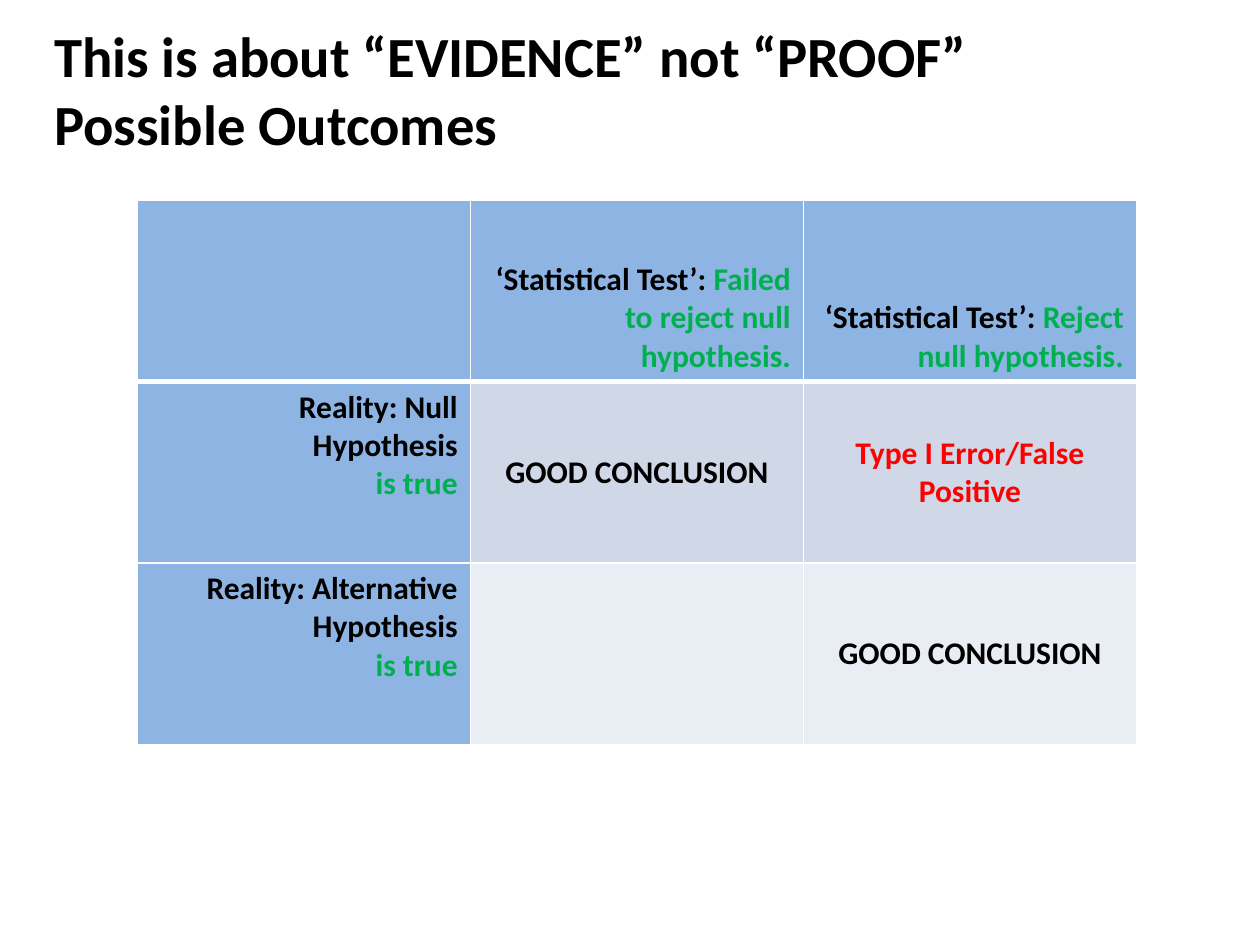
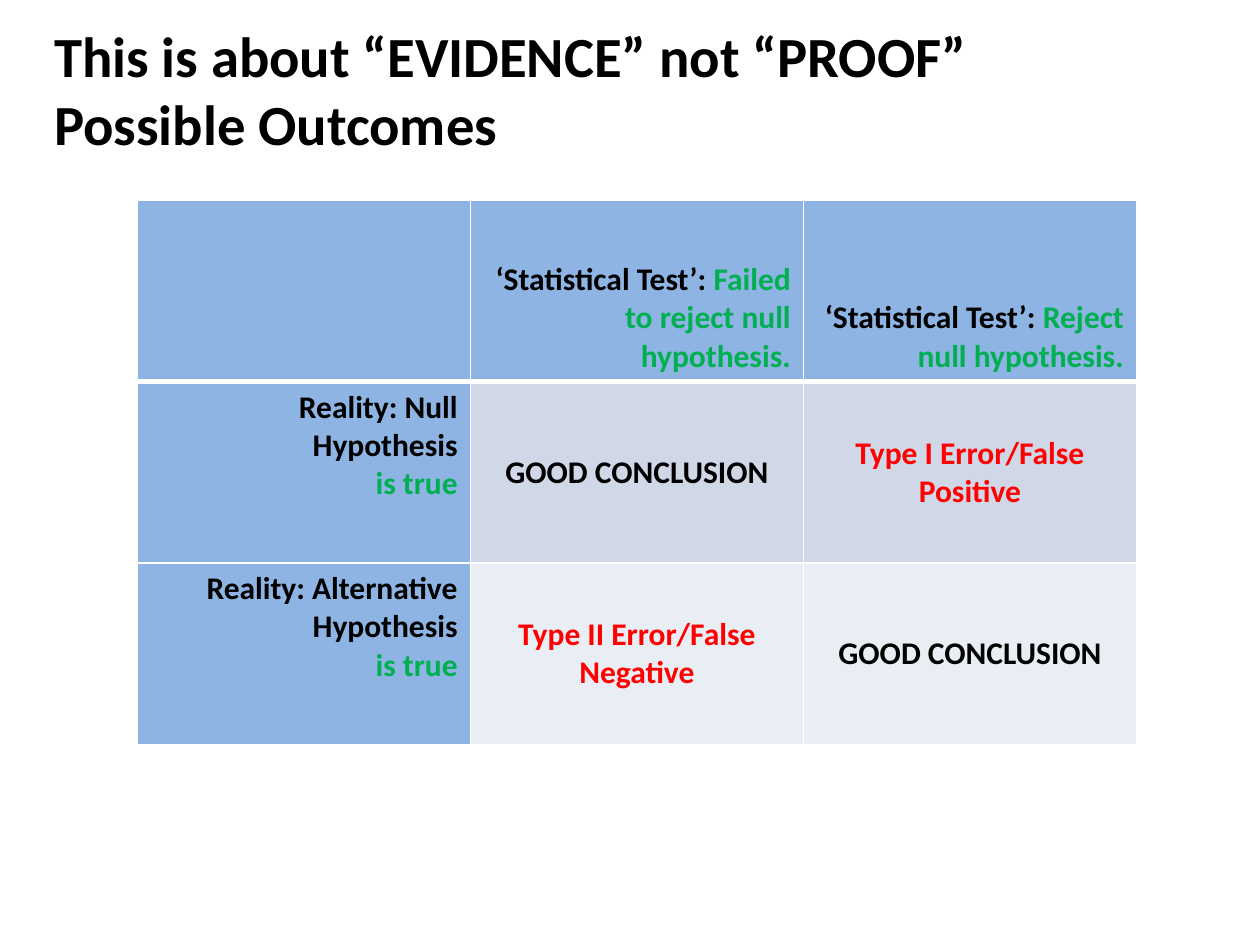
from lxml import etree
from pptx import Presentation
from pptx import util as u
from pptx.dml.color import RGBColor
from pptx.enum import text
from pptx.oxml.ns import qn

# Content: a cell is a list of paragraphs, a paragraph a list of (words, colour)
BLACK, GREEN, RED, WHITE = "000000", "00B050", "FF0000", "FFFFFF"
HEADER_FILL = "8EB4E3"
BAND_FILLS = ["D0D8E8", "E9EDF4"]
FONT = "Calibri"

TITLE_LINES = ["This is about “EVIDENCE” not “PROOF”", "Possible Outcomes"]
TEST_RESULTS = ["Failed to reject null hypothesis.", "Reject null hypothesis."]
REALITIES = ["Null", "Alternative"]
GOOD = [[("GOOD CONCLUSION", BLACK)]]
TYPE_1 = [[("Type I Error/False Positive", RED)]]
TYPE_2 = [[("Type II Error/False Negative", RED)]]
SLIDE_OUTCOMES = [
    [[GOOD, TYPE_1], [[], GOOD]],
    [[GOOD, TYPE_1], [TYPE_2, GOOD]],
]

# Layout
TITLE_BOX = [u.Inches(n) for n in (0.33, 0.08, 9, 1.25)]
TABLE_BOX = [u.Inches(n) for n in (1.09, 1.59, 7.93, 4.32)]
TITLE_SIZE, CELL_SIZE = u.Pt(32.4), u.Pt(18)
THIN, THICK = u.Pt(1), u.Pt(3)


def rgb(colour):
    return RGBColor.from_string(colour)


def add_run(paragraph, words, size, colour):
    run = paragraph.add_run()
    run.text = words
    run.font.name, run.font.size, run.font.bold = FONT, size, True
    run.font.color.rgb = rgb(colour)


def add_title(slide):
    title = slide.shapes.title
    title.left, title.top, title.width, title.height = TITLE_BOX
    frame = title.text_frame
    frame.word_wrap = True
    frame.auto_size = text.MSO_AUTO_SIZE.NONE
    frame.vertical_anchor = text.MSO_ANCHOR.MIDDLE
    paragraph = frame.paragraphs[0]
    paragraph.alignment = text.PP_ALIGN.LEFT
    for index, line in enumerate(TITLE_LINES):
        if index:
            paragraph.add_line_break()
        add_run(paragraph, line, TITLE_SIZE, BLACK)


def set_borders(cell, row):
    """White rules, with a thick one between the header and the body."""
    widths = {
        "L": THIN,
        "R": THIN,
        "T": THICK if row == 1 else THIN,
        "B": THICK if row == 0 else THIN,
    }
    properties = cell._tc.get_or_add_tcPr()
    for side, width in widths.items():
        line = etree.SubElement(properties, qn(f"a:ln{side}"), w=str(int(width)))
        fill = etree.SubElement(line, qn("a:solidFill"))
        etree.SubElement(fill, qn("a:srgbClr"), val=WHITE)


def fill_cell(cell, content, row, column):
    set_borders(cell, row)
    is_header = row == 0 or column == 0
    cell.fill.solid()
    cell.fill.fore_color.rgb = rgb(HEADER_FILL if is_header else BAND_FILLS[row - 1])
    if row == 0:
        cell.vertical_anchor = text.MSO_ANCHOR.BOTTOM
    else:
        cell.vertical_anchor = text.MSO_ANCHOR.MIDDLE if column else text.MSO_ANCHOR.TOP
    frame = cell.text_frame
    for index, runs in enumerate(content):
        paragraph = frame.add_paragraph() if index else frame.paragraphs[0]
        paragraph.alignment = text.PP_ALIGN.RIGHT if is_header else text.PP_ALIGN.CENTER
        for words, colour in runs:
            add_run(paragraph, words, CELL_SIZE, colour)


def table_rows(outcomes):
    """Put the column and row headings around the outcomes."""
    header = [[]] + [
        [[("‘Statistical Test’: ", BLACK), (result, GREEN)]] for result in TEST_RESULTS
    ]
    body = [
        [[[(f"Reality: {reality}", BLACK)], [("Hypothesis", BLACK)], [("is true", GREEN)]]]
        + cells
        for reality, cells in zip(REALITIES, outcomes)
    ]
    return [header] + body


def add_outcome_table(slide, outcomes):
    rows = table_rows(outcomes)
    table = slide.shapes.add_table(len(rows), len(rows[0]), *TABLE_BOX).table
    for row, cells in enumerate(rows):
        for column, content in enumerate(cells):
            fill_cell(table.cell(row, column), content, row, column)


def main():
    presentation = Presentation()
    presentation.slide_width = u.Inches(10)
    presentation.slide_height = u.Inches(7.5)
    title_only = presentation.slide_layouts[5]
    for outcomes in SLIDE_OUTCOMES:
        slide = presentation.slides.add_slide(title_only)
        add_title(slide)
        add_outcome_table(slide, outcomes)
    presentation.save("out.pptx")


if __name__ == "__main__":
    main()
